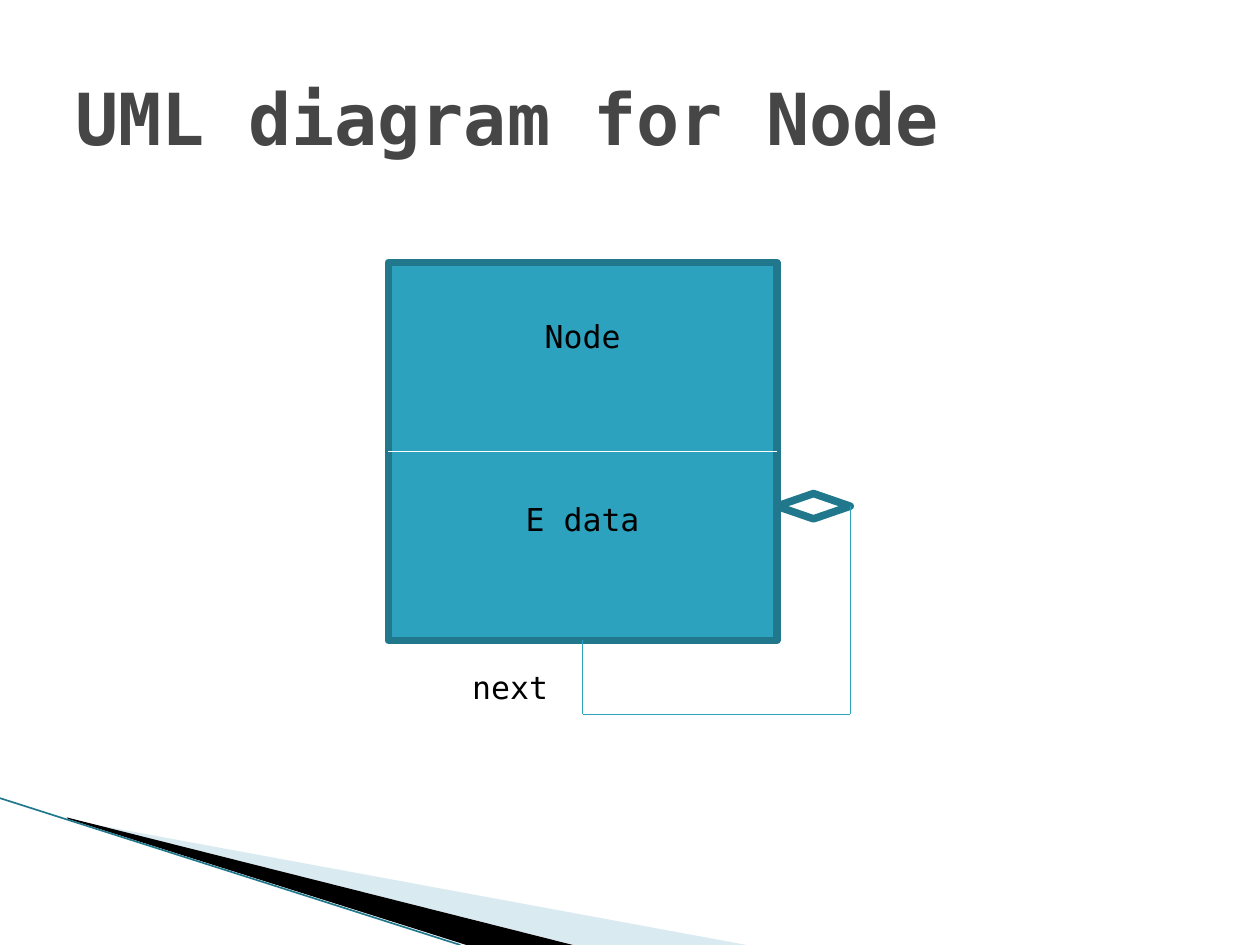
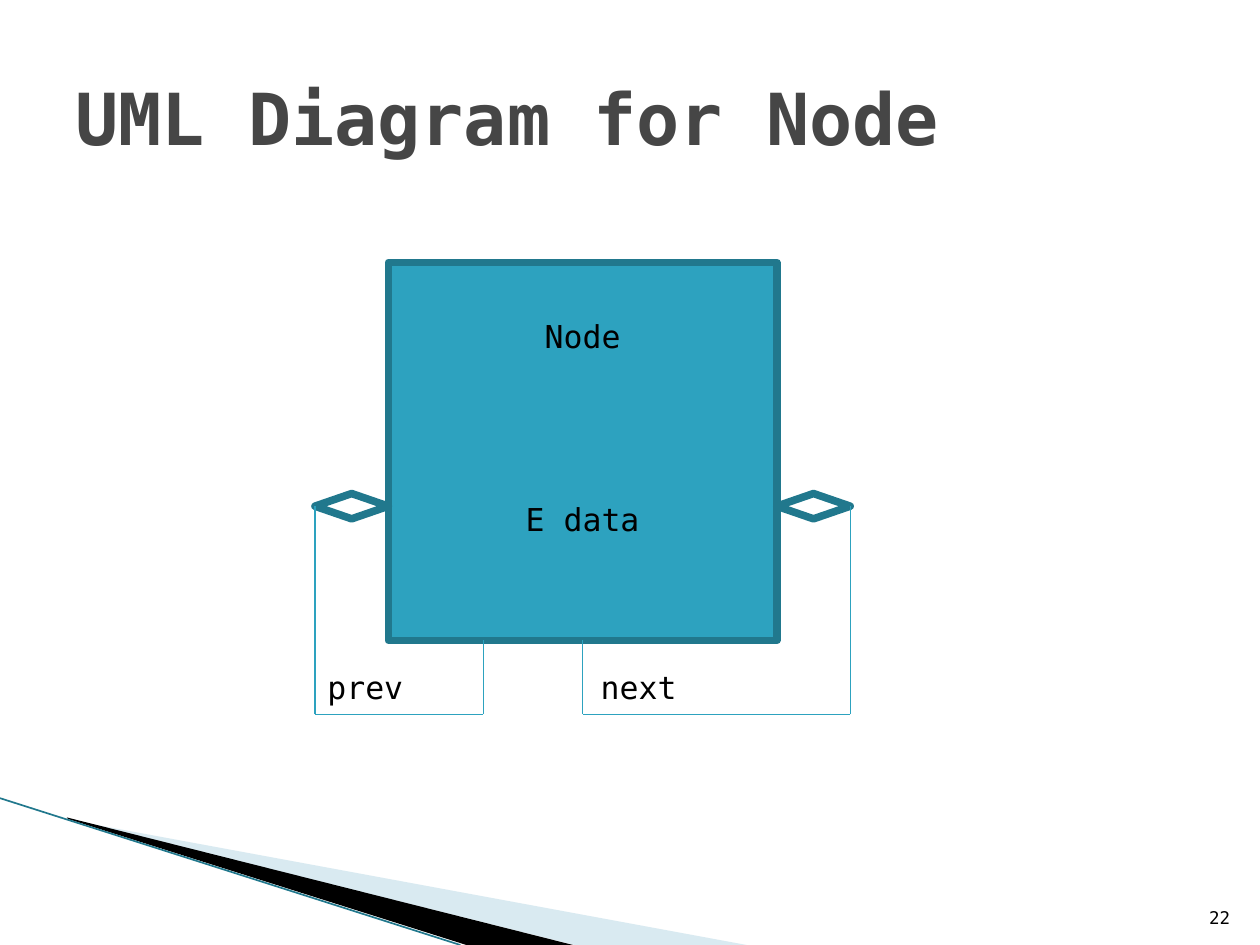
from dataclasses import dataclass

from lxml import etree
from pptx import Presentation
from pptx.dml.color import RGBColor
from pptx.enum.shapes import MSO_CONNECTOR, MSO_SHAPE
from pptx.enum.text import MSO_ANCHOR, MSO_AUTO_SIZE, PP_ALIGN
from pptx.oxml.ns import qn
from pptx.util import Cm, Pt

STRAIGHT = MSO_CONNECTOR.STRAIGHT
RECTANGLE, DIAMOND = MSO_SHAPE.RECTANGLE, MSO_SHAPE.FLOWCHART_DECISION
LEFT, CENTER, RIGHT = PP_ALIGN.LEFT, PP_ALIGN.CENTER, PP_ALIGN.RIGHT
TOP, MIDDLE, BOTTOM = MSO_ANCHOR.TOP, MSO_ANCHOR.MIDDLE, MSO_ANCHOR.BOTTOM
GROW, FIXED = MSO_AUTO_SIZE.SHAPE_TO_FIT_TEXT, MSO_AUTO_SIZE.NONE
SITE_LEFT, SITE_BOTTOM, SITE_RIGHT = 1, 2, 3


@dataclass(frozen=True)
class Theme:
    font: str = "DejaVu Sans Mono"
    title_size: float = 41
    label_size: float = 18
    number_size: float = 10
    title: str = "464646"
    text: str = "000000"
    white: str = "FFFFFF"
    teal: str = "2DA2BF"
    dark_teal: str = "21788D"
    pale_wedge: str = "A0CBDC"
    black_wedge: str = "000000"
    outline: float = 4.33
    thin: float = 0.75
    edge: float = 0.95


THEME = Theme()

# Measurements in centimetres
SLIDE_WIDTH, SLIDE_HEIGHT = 25.4, 19.05
BOX_LEFT, BOX_TOP, BOX_WIDTH, BOX_HEIGHT = 7.83, 5.29, 7.83, 7.62
BOX_RIGHT, BOX_BOTTOM = BOX_LEFT + BOX_WIDTH, BOX_TOP + BOX_HEIGHT
BOX_CENTER = BOX_LEFT + BOX_WIDTH / 2
DIAMOND_WIDTH, DIAMOND_HEIGHT, DIAMOND_TOP = 1.48, 0.51, 9.95
DIAMOND_MIDDLE = DIAMOND_TOP + DIAMOND_HEIGHT / 2
LOOP_BOTTOM = 14.4
PREV_START = 9.74
LABEL_TOP = 13.34


def color(value):
    return RGBColor.from_string(value)


def add_text(slide, text, left, top, width, height, *, size=THEME.label_size,
             ink=THEME.text, bold=False, align=LEFT, anchor=TOP, fit=GROW):
    box = slide.shapes.add_textbox(Cm(left), Cm(top), Cm(width), Cm(height))
    frame = box.text_frame
    frame.word_wrap = True
    frame.auto_size = fit
    frame.vertical_anchor = anchor
    paragraph = frame.paragraphs[0]
    paragraph.alignment = align
    run = paragraph.add_run()
    run.text = text
    run.font.name = THEME.font
    run.font.size = Pt(size)
    run.font.bold = bold
    run.font.color.rgb = color(ink)


def add_outlined_shape(slide, kind, left, top, width, height, fill):
    shape = slide.shapes.add_shape(kind, Cm(left), Cm(top), Cm(width), Cm(height))
    shape.shadow.inherit = False
    shape.fill.solid()
    shape.fill.fore_color.rgb = color(fill)
    shape.line.color.rgb = color(THEME.dark_teal)
    shape.line.width = Pt(THEME.outline)
    # Rounded corners on the thick outline
    etree.SubElement(shape._element.spPr.find(qn("a:ln")), qn("a:round"))
    return shape


def add_line(slide, start, end, ink=THEME.teal, width=THEME.thin,
             begin_at=None, end_at=None):
    """Draw a line; begin_at and end_at are (shape, connection site) pairs."""
    line = slide.shapes.add_connector(STRAIGHT, *map(Cm, start + end))
    line.line.color.rgb = color(ink)
    line.line.width = Pt(width)
    etree.SubElement(line._element.spPr, qn("a:effectLst"))
    if begin_at:
        line.begin_connect(*begin_at)
    if end_at:
        line.end_connect(*end_at)


def add_wedge(slide, points, fill, opacity=100):
    corners = [(Cm(x), Cm(y)) for x, y in points]
    builder = slide.shapes.build_freeform(*corners[0])
    builder.add_line_segments(corners[1:], close=True)
    wedge = builder.convert_to_shape()
    wedge.shadow.inherit = False
    wedge.fill.solid()
    wedge.fill.fore_color.rgb = color(fill)
    wedge.line.fill.background()
    if opacity < 100:
        solid = wedge._element.spPr.find(qn("a:solidFill"))
        etree.SubElement(solid[0], qn("a:alpha"), val=str(opacity * 1000))


def add_base_slide(presentation, title):
    slide = presentation.slides.add_slide(presentation.slide_layouts[6])
    # Corner wedges and their edge line
    add_wedge(slide, [(1.4, 16.53), (15.05, SLIDE_HEIGHT),
                      (11.58, SLIDE_HEIGHT), (1.4, 16.51)],
              THEME.pale_wedge, opacity=40)
    add_wedge(slide, [(1.35, 16.48), (11.55, SLIDE_HEIGHT),
                      (9.4, SLIDE_HEIGHT), (1.37, 16.51)], THEME.black_wedge)
    add_line(slide, (0, 16.09), (9.28, SLIDE_HEIGHT),
             ink=THEME.dark_teal, width=THEME.edge)
    add_text(slide, title, 1.27, 0.76, 22.86, 3.18, size=THEME.title_size,
             ink=THEME.title, bold=True, anchor=MIDDLE, fit=FIXED)
    return slide


def add_node_box(slide, divided=False):
    box = add_outlined_shape(slide, RECTANGLE, BOX_LEFT, BOX_TOP,
                             BOX_WIDTH, BOX_HEIGHT, THEME.teal)
    if divided:
        middle = BOX_TOP + BOX_HEIGHT / 2
        add_line(slide, (BOX_LEFT, middle), (BOX_RIGHT, middle), ink=THEME.white,
                 begin_at=(box, SITE_LEFT), end_at=(box, SITE_RIGHT))
    for text, top, width in (("Node", 6.27, 5.51), ("E data", 9.95, 6.55)):
        add_text(slide, text, BOX_CENTER - width / 2, top, width, 1.02, align=CENTER)
    return box


def add_link(slide, label, label_left, label_width, start_x, diamond_left,
             diamond_site, start_joint=None):
    """Loop from the underside of the box back to a diamond at its side."""
    diamond = add_outlined_shape(slide, DIAMOND, diamond_left, DIAMOND_TOP,
                                 DIAMOND_WIDTH, DIAMOND_HEIGHT, THEME.white)
    outer_x = diamond_left + (DIAMOND_WIDTH if diamond_site == SITE_RIGHT else 0)
    add_line(slide, (start_x, BOX_BOTTOM), (start_x, LOOP_BOTTOM), begin_at=start_joint)
    add_line(slide, (start_x, LOOP_BOTTOM), (outer_x, LOOP_BOTTOM))
    add_line(slide, (outer_x, LOOP_BOTTOM), (outer_x, DIAMOND_MIDDLE),
             end_at=(diamond, diamond_site))
    add_text(slide, label, label_left, LABEL_TOP, label_width, 1.07)


def add_next_link(slide, box, label_left):
    add_link(slide, "next", label_left, 2.12, BOX_CENTER, BOX_RIGHT,
             SITE_RIGHT, start_joint=(box, SITE_BOTTOM))


def add_prev_link(slide):
    diamond_left = BOX_LEFT - DIAMOND_WIDTH
    add_link(slide, "prev", diamond_left, 2.96, PREV_START, diamond_left, SITE_LEFT)


def main():
    presentation = Presentation()
    presentation.slide_width = Cm(SLIDE_WIDTH)
    presentation.slide_height = Cm(SLIDE_HEIGHT)

    # Singly linked node
    slide = add_base_slide(presentation, "UML diagram for Node")
    box = add_node_box(slide, divided=True)
    add_next_link(slide, box, label_left=9.27)

    # Doubly linked node
    slide = add_base_slide(presentation, "UML Diagram for Node")
    box = add_node_box(slide)
    add_next_link(slide, box, label_left=11.86)
    add_prev_link(slide)
    add_text(slide, "22", 24.03, 17.81, 1.02, 1.02, size=THEME.number_size,
             align=RIGHT, anchor=BOTTOM, fit=FIXED)

    presentation.save("out.pptx")


if __name__ == "__main__":
    main()
